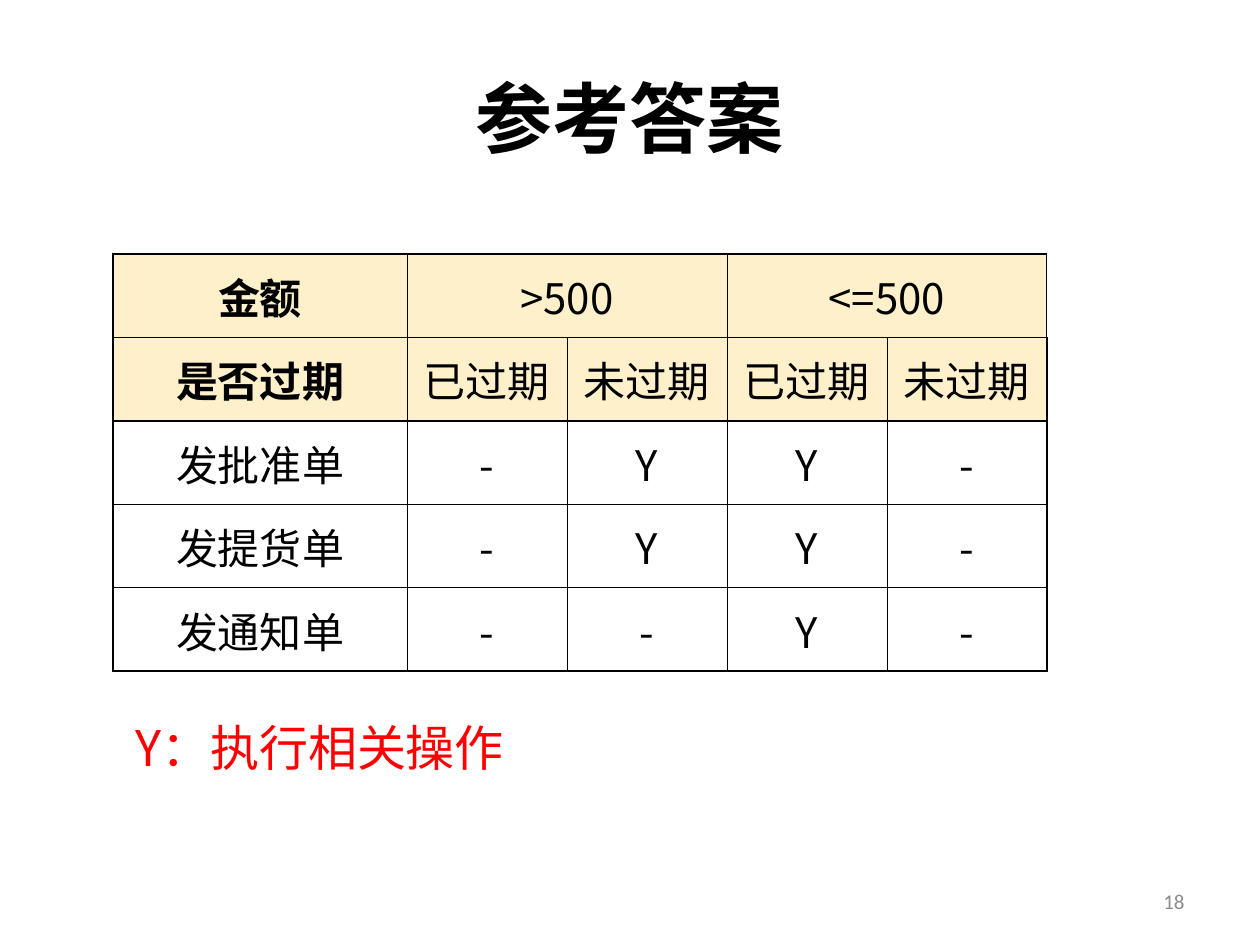
"""Builds the answer slide: a decision table with a title, a key and a page number."""
from dataclasses import dataclass

from lxml.etree import SubElement as Sub
from pptx import Presentation
from pptx.dml.color import RGBColor as Rgb
from pptx.enum.lang import MSO_LANGUAGE_ID as Lang
from pptx.enum.text import MSO_ANCHOR as Anchor, PP_ALIGN as Align
from pptx.oxml.ns import qn
from pptx.util import Pt

SCALE = 914400 / 126
COLORS = {"ink": "000000", "head": "FDF0CA", "key": "FF0000", "page": "8C8C8C"}
CALIBRI, NOTO = "Calibri", "Noto Sans CJK SC"
WIDTHS = [294, 160, 160, 160, 160]
HEADS = 2
ROWS = [
    ["金额", ">500", "", "<=500", ""],
    ["是否过期", "已过期", "未过期", "已过期", "未过期"],
    ["发批准单", "-", "Y", "Y", "-"],
    ["发提货单", "-", "Y", "Y", "-"],
    ["发通知单", "-", "-", "Y", "-"],
]
PADS = {"margin_left": 1, "margin_top": 1, "margin_right": 1, "margin_bottom": 0}


@dataclass
class Style:
    size: int
    face: str = NOTO
    color: str = "ink"
    bold: bool = False
    align: Align = Align.CENTER


@dataclass
class Label:
    text: str
    box: tuple[int, int, int, int]
    style: Style
    anchor: Anchor = Anchor.MIDDLE


LABELS = [
    Label("参考答案", (63, 38, 1134, 157), Style(44, CALIBRI, bold=True)),
    Label("18", (903, 876, 294, 50), Style(12, CALIBRI, "page", align=Align.RIGHT)),
    Label("Y：执行相关操作", (123, 711, 507, 72),
          Style(28, color="key", align=Align.LEFT), Anchor.TOP),
]


def px(count: int) -> int:
    return round(count * SCALE)


def write(frame, text: str, style: Style) -> None:
    para = frame.paragraphs[0]
    para.alignment = style.align
    run = para.add_run()
    run.text = text
    look = {"size": Pt(style.size), "bold": style.bold, "name": style.face,
            "language_id": Lang.SIMPLIFIED_CHINESE}
    for name, value in look.items():
        setattr(run.font, name, value)
    run.font.color.rgb = Rgb.from_string(COLORS[style.color])
    Sub(run._r.get_or_add_rPr(), qn("a:ea"), typeface=NOTO)


def label(slide, item: Label) -> None:
    frame = slide.shapes.add_textbox(*map(px, item.box)).text_frame
    frame.word_wrap = True
    frame.vertical_anchor = item.anchor
    write(frame, item.text, item.style)


def edge(cell, side: str, thick: bool) -> None:
    line = Sub(cell._tc.get_or_add_tcPr(), qn(f"a:ln{side}"),
               w=str(Pt(1 if thick else 0.5)))
    fill = Sub(line, qn("a:solidFill"))
    Sub(fill, qn("a:srgbClr"), val=COLORS["ink"])


def dress(cell, row: int, col: int) -> None:
    heavy = {"L": col == 0, "R": col == len(WIDTHS) - 1,
             "T": row in (0, HEADS), "B": row in (HEADS - 1, len(ROWS) - 1)}
    for side, thick in heavy.items():
        edge(cell, side, thick)
    if row < HEADS:
        cell.fill.solid()
        cell.fill.fore_color.rgb = Rgb.from_string(COLORS["head"])
    else:
        cell.fill.background()
    for name, value in PADS.items():
        setattr(cell, name, px(value))
    cell.vertical_anchor = Anchor.MIDDLE


def grid(slide) -> None:
    box = map(px, (113, 254, sum(WIDTHS), 417))
    table = slide.shapes.add_table(len(ROWS), len(WIDTHS), *box).table
    table.first_row = table.horz_banding = False
    for col, width in zip(table.columns, WIDTHS):
        col.width = px(width)
    for row, texts in enumerate(ROWS):
        for col, text in enumerate(texts):
            cell = table.cell(row, col)
            dress(cell, row, col)
            if text:
                bold = row < HEADS and col == 0
                write(cell.text_frame, text, Style(24, bold=bold))
    for col in (1, 3):
        table.cell(0, col).merge(table.cell(0, col + 1))


def main() -> None:
    deck = Presentation()
    deck.slide_width, deck.slide_height = px(1260), px(945)
    slide = deck.slides.add_slide(deck.slide_layouts[6])
    grid(slide)
    for item in LABELS:
        label(slide, item)
    deck.save("out.pptx")


if __name__ == "__main__":
    main()
